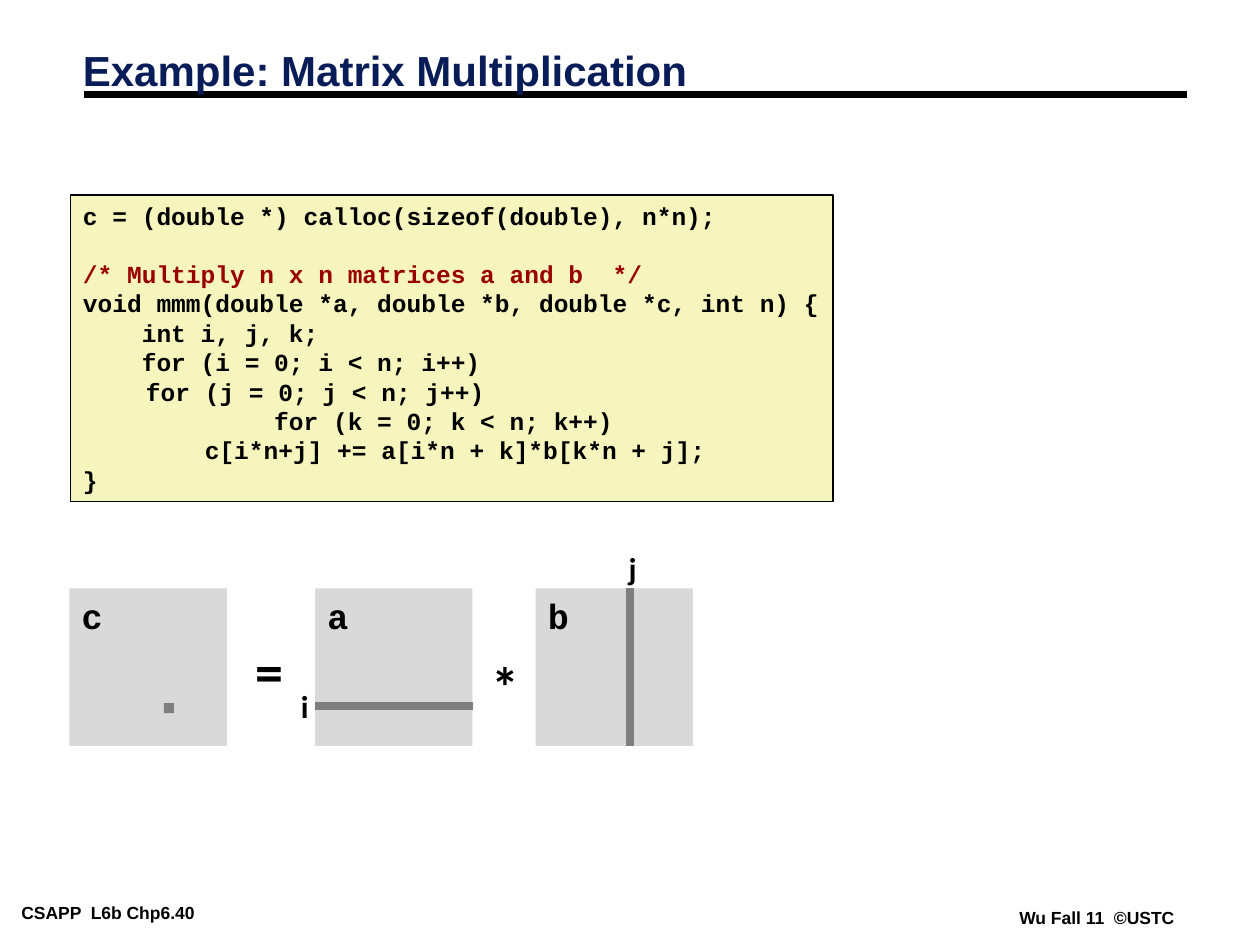
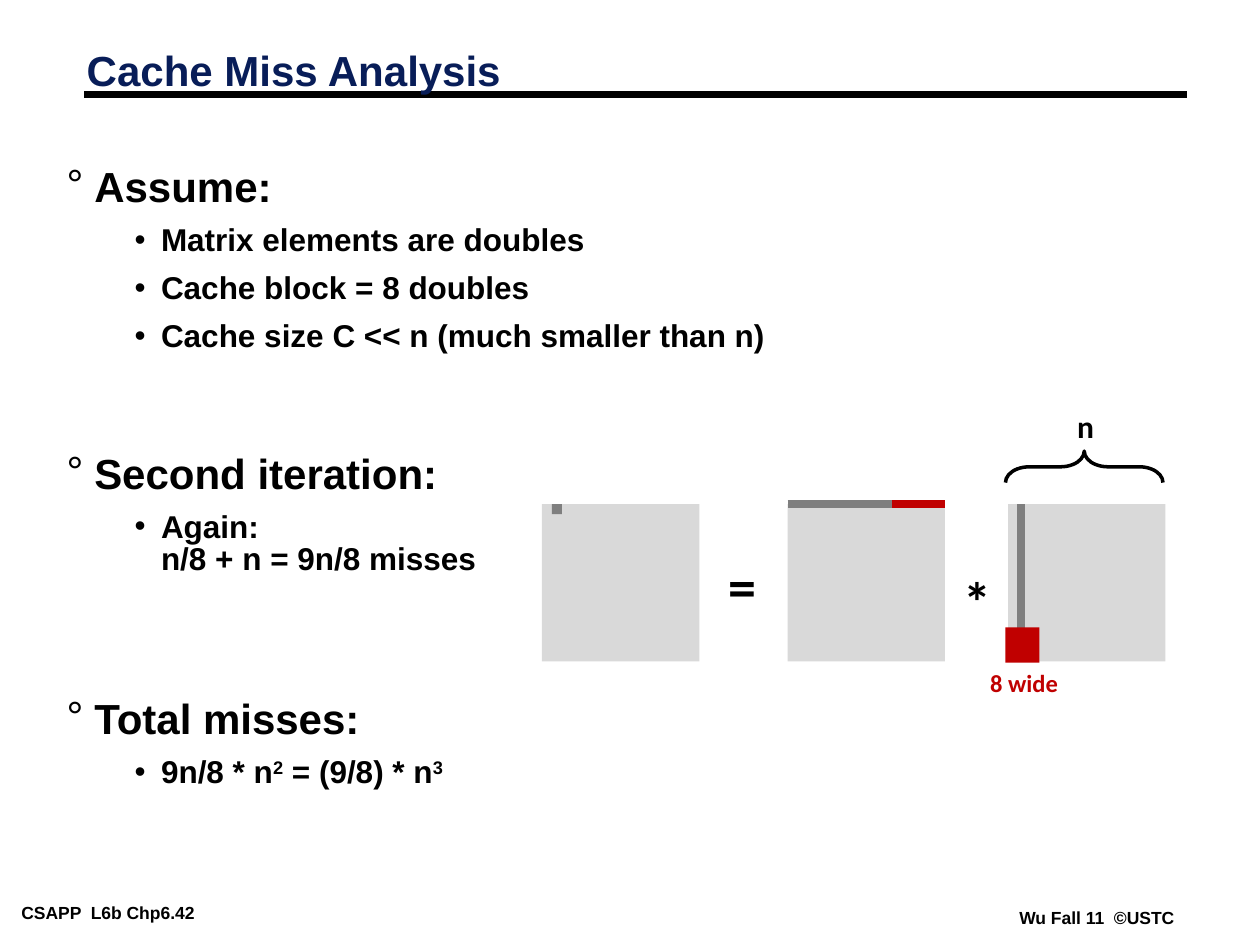
from lxml.etree import SubElement
from pptx import Presentation
from pptx.dml.color import RGBColor
from pptx.enum.shapes import MSO_CONNECTOR, MSO_SHAPE
from pptx.enum.text import MSO_ANCHOR, PP_ALIGN
from pptx.oxml.ns import qn
from pptx.util import Pt

PX = 9144  # EMU per px, at 100 px to the inch

BLACK = RGBColor(0x00, 0x00, 0x00)
NAVY = RGBColor(0x08, 0x1D, 0x58)
LIGHT_GRAY = RGBColor(0xD9, 0xD9, 0xD9)
GRAY = RGBColor(0x7F, 0x7F, 0x7F)
RED = RGBColor(0xC0, 0x00, 0x00)
COMMENT_RED = RGBColor(0x99, 0x00, 0x00)
CODE_YELLOW = RGBColor(0xF6, 0xF5, 0xBD)

MATRIX_SIZE = 125
CELL_SIZE = 8

TITLE = dict(size=24, color=NAVY, line_spacing=0.87, wrap=True, anchor=MSO_ANCHOR.MIDDLE)
FOOTER = dict(size=10, margins=(7, 3))
SIGN = dict(size=32, font="Calibri")
INDEX = dict(size=18, font="Calibri")
CODE = dict(size=14, font="Courier New", wrap=True)
HEADING = dict(size=24, line_spacing=0.75, bullet="°", indent=(22, -22), wrap=True)
POINT = dict(size=18, line_spacing=0.85, bullet="•", indent=(75, -21), wrap=True, space_before=9)


def add_text(frame, text, size, font="Arial", color=BLACK, line_spacing=None, space_before=0,
             bullet=None, indent=None, wrap=False, anchor=MSO_ANCHOR.TOP, margins=(10, 5)):
    """Append one bold paragraph; parts between ^ marks are superscript."""
    frame.word_wrap = wrap
    frame.vertical_anchor = anchor
    frame.margin_left = frame.margin_right = margins[0] * PX
    frame.margin_top = frame.margin_bottom = margins[1] * PX
    paragraph = frame.paragraphs[0]
    if paragraph.runs:
        paragraph = frame.add_paragraph()
    paragraph.alignment = PP_ALIGN.LEFT
    paragraph.space_before = Pt(space_before)
    if line_spacing:
        paragraph.line_spacing = line_spacing
    if bullet:
        properties = paragraph._p.get_or_add_pPr()
        properties.set("marL", str(indent[0] * PX))
        properties.set("indent", str(indent[1] * PX))
        SubElement(properties, qn("a:buFont"), typeface="Arial")
        SubElement(properties, qn("a:buChar"), char=bullet)
    for part_number, part in enumerate(text.split("^")):
        for line_number, line in enumerate(part.split("\n")):
            if line_number:
                paragraph.add_line_break()
            run = paragraph.add_run()
            run.text = line
            run.font.name = font
            run.font.size = Pt(size)
            run.font.bold = True
            run.font.color.rgb = color
            if part_number % 2:
                run._r.get_or_add_rPr().set("baseline", "30000")


def add_shape(slide, kind, left, top, width, height, fill=None, line_width=0):
    shape = slide.shapes.add_shape(kind, left * PX, top * PX, width * PX, height * PX)
    shape.shadow.inherit = False
    if fill is None:
        shape.fill.background()
    else:
        shape.fill.solid()
        shape.fill.fore_color.rgb = fill
    if line_width:
        shape.line.color.rgb = BLACK
        shape.line.width = Pt(line_width)
    else:
        shape.line.fill.background()
    return shape


presentation = Presentation()
presentation.slide_width = 1000 * PX
presentation.slide_height = 750 * PX

# Each slide: title, title left, page, equation origin, matrix names, result cell, strips, labels
slide_plans = [
    ("Example: Matrix Multiplication", 56, 40, (55, 467), "cab", (130, 558),
     [(250, 560, 375, 560, GRAY), (500, 467, 500, 592, GRAY)],
     [("i", (229, 540, 26, 40), INDEX), ("j", (489, 431, 26, 40), INDEX)]),
    ("Cache Miss Analysis", 59, 42, (430, 400), "", (438, 400),
     [(625, 400, 750, 400, GRAY), (810, 400, 810, 525, GRAY), (708, 400, 750, 400, RED)],
     [("n", (845, 318, 33, 40), INDEX),
      ("8 wide", (776, 525, 74, 34), dict(size=14, font="Calibri", color=RED))]),
]

slides = []
for title, title_left, page, (left, top), names, cell, strips, labels in slide_plans:
    slide = presentation.slides.add_slide(presentation.slide_layouts[6])
    slides.append(slide)

    matrices = []
    for offset in (0, 195, 370):
        matrices.append(add_shape(slide, MSO_SHAPE.RECTANGLE, left + offset, top,
                                  MATRIX_SIZE, MATRIX_SIZE, LIGHT_GRAY))
    for matrix, name in zip(matrices, names):
        add_text(matrix.text_frame, name, size=20, font="Courier New", wrap=True)
    add_shape(slide, MSO_SHAPE.RECTANGLE, *cell, CELL_SIZE, CELL_SIZE, GRAY)

    title_rule = (67, 75, 942, 75, BLACK)
    for start_x, start_y, end_x, end_y, color in [title_rule] + strips:
        line = slide.shapes.add_connector(MSO_CONNECTOR.STRAIGHT, start_x * PX, start_y * PX,
                                          end_x * PX, end_y * PX)
        line.line.color.rgb = color
        line.line.width = Pt(4.5)
        SubElement(line._element.spPr, qn("a:effectLst"))

    shared_texts = [
        (title, (title_left, 36, 830, 45), TITLE),
        (f"CSAPP  L6b Chp6.{page}", (10, 713, 203, 22), FOOTER),
        ("Wu Fall 11  ©USTC", (802, 717, 138, 22), FOOTER),
        ("=", (left + 138, top + 33, 42, 64), SIGN),
        ("*", (left + 325, top + 45, 42, 64), SIGN),
    ]
    for text, box, style in shared_texts + labels:
        text_box = slide.shapes.add_textbox(*[length * PX for length in box])
        add_text(text_box.text_frame, text, **style)

example_slide, analysis_slide = slides

code_box = add_shape(example_slide, MSO_SHAPE.RECTANGLE, 56, 155, 605, 243, CODE_YELLOW, 1)
add_text(code_box.text_frame, "c = (double *) calloc(sizeof(double), n*n);", **CODE)
add_text(code_box.text_frame, "/* Multiply n x n matrices a and b  */",
         color=COMMENT_RED, space_before=16, **CODE)
for code_line in [
    "void mmm(double *a, double *b, double *c, int n) {",
    "    int i, j, k;",
    "    for (i = 0; i < n; i++)",
    "\tfor (j = 0; j < n; j++)",
    "             for (k = 0; k < n; k++)",
    "\t    c[i*n+j] += a[i*n + k]*b[k*n + j];",
    "}",
]:
    add_text(code_box.text_frame, code_line, **CODE)

add_shape(analysis_slide, MSO_SHAPE.RECTANGLE, 798, 498, 27, 28, RED)
brace = add_shape(analysis_slide, MSO_SHAPE.LEFT_BRACE, 848, 308, 25, 125, line_width=2)
brace.adjustments[0] = 0.75
brace.rotation = 90

body = analysis_slide.shapes.add_textbox(43 * PX, 132 * PX, 864 * PX, 515 * PX)
for heading, gap, points in [
    ("Assume:", 0, ["Matrix elements are doubles", "Cache block = 8 doubles",
                    "Cache size C << n (much smaller than n)"]),
    ("Second iteration:", 60, ["Again:\nn/8 + n = 9n/8 misses"]),
    ("Total misses:", 73, ["9n/8 * n^2^ = (9/8) * n^3"]),
]:
    add_text(body.text_frame, heading, space_before=gap, **HEADING)
    for point in points:
        add_text(body.text_frame, point, **POINT)

presentation.save("out.pptx")
